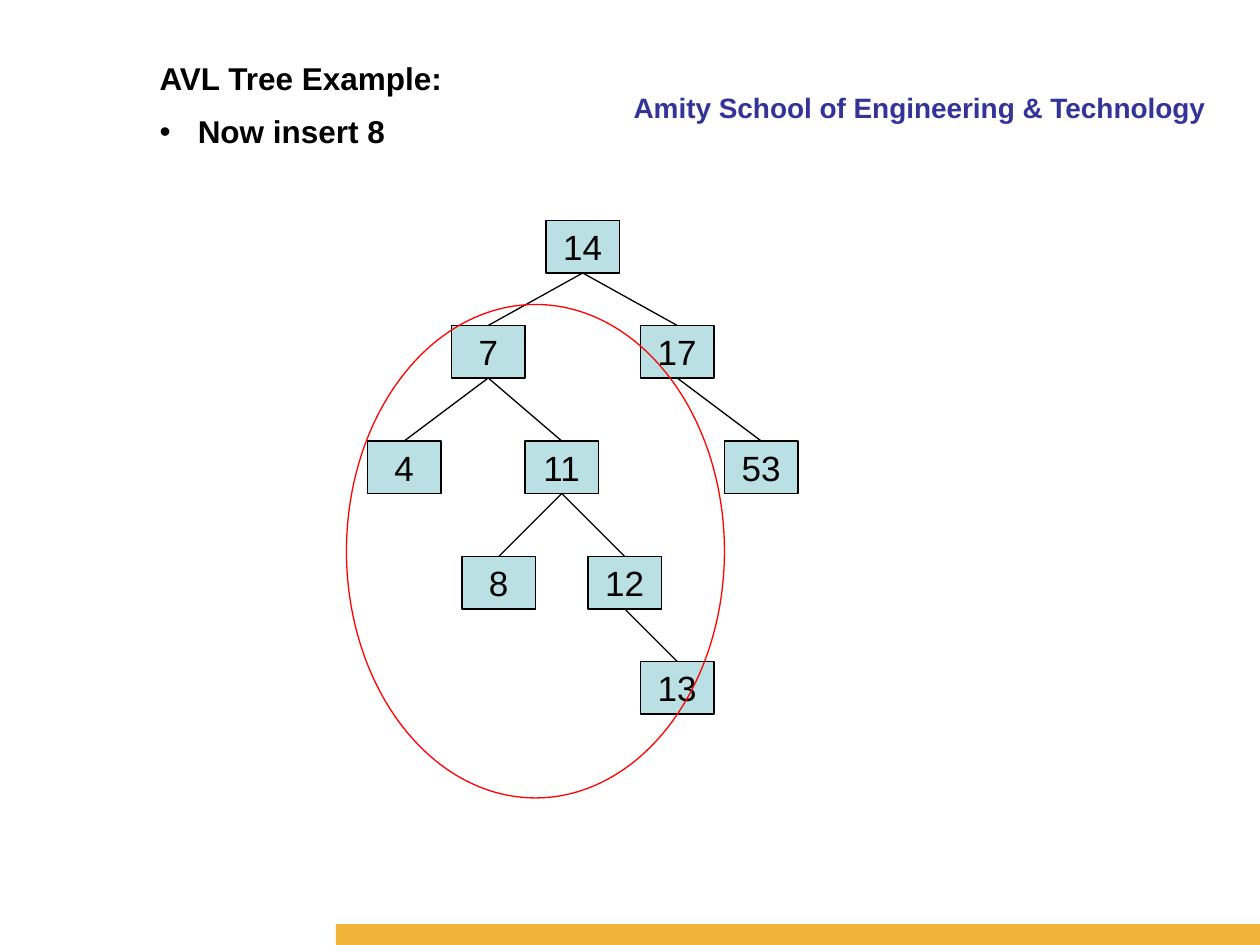
from dataclasses import dataclass

from lxml.etree import SubElement
from pptx import Presentation
from pptx.dml.color import RGBColor
from pptx.enum.shapes import MSO_CONNECTOR, MSO_SHAPE
from pptx.enum.text import MSO_ANCHOR, MSO_AUTO_SIZE, PP_ALIGN
from pptx.oxml.ns import qn
from pptx.shapes.autoshape import Shape
from pptx.slide import Slide
from pptx.text.text import TextFrame
from pptx.util import Cm, Pt

COLOURS = {
    "black": "000000",
    "header": "333399",
    "bar": "F1B43B",
    "node": "BBE0E3",
    "highlight": "FF0000",
}
FONT = "Arial"
GRID = 2.54 / 12  # every position is a multiple of a twelfth of an inch
NODE_WIDTH, NODE_HEIGHT = 7, 5
LEVEL_TOPS = (21, 31, 42, 53, 63)
LINE_WIDTH = Pt(0.75)
TOP_SITE, BOTTOM_SITE = 0, 2


@dataclass
class Node:
    key: int
    left: int
    level: int
    parent: int | None = None


NODES = [
    Node(14, 52, 0),
    Node(7, 43, 1, parent=14),
    Node(17, 61, 1, parent=14),
    Node(4, 35, 2, parent=7),
    Node(11, 50, 2, parent=7),
    Node(53, 69, 2, parent=17),
    Node(8, 44, 3, parent=11),
    Node(12, 56, 3, parent=11),
    Node(13, 61, 4, parent=12),
]


def units(count: float) -> Cm:
    """Turn grid units into a length."""
    return Cm(count * GRID)


def colour(name: str) -> RGBColor:
    return RGBColor.from_string(COLOURS[name])


def format_text(text_frame: TextFrame, size: int, font_colour: str,
                alignment: PP_ALIGN, bold: bool = False) -> None:
    for paragraph in text_frame.paragraphs:
        paragraph.alignment = alignment
        for run in paragraph.runs:
            run.font.name = FONT
            run.font.size = Pt(size)
            run.font.bold = bold
            run.font.color.rgb = colour(font_colour)


def add_figure(slide: Slide, preset: MSO_SHAPE, box: tuple[int, int, int, int],
               fill: str | None = None, line: str | None = None) -> Shape:
    """Add a preset shape; a missing fill or line is left out."""
    shape = slide.shapes.add_shape(preset, *map(units, box))
    shape.shadow.inherit = False
    if fill:
        shape.fill.solid()
        shape.fill.fore_color.rgb = colour(fill)
    else:
        shape.fill.background()
    if line:
        shape.line.color.rgb = colour(line)
        shape.line.width = LINE_WIDTH
    else:
        shape.line.fill.background()
    return shape


def add_node(slide: Slide, node: Node) -> Shape:
    box = (node.left, LEVEL_TOPS[node.level], NODE_WIDTH, NODE_HEIGHT)
    shape = add_figure(slide, MSO_SHAPE.RECTANGLE, box, "node", "black")
    text_frame = shape.text_frame
    text_frame.text = str(node.key)
    text_frame.word_wrap = False
    text_frame.vertical_anchor = MSO_ANCHOR.MIDDLE
    format_text(text_frame, 20, "black", PP_ALIGN.CENTER)
    return shape


def add_edge(slide: Slide, parent: Shape, child: Shape) -> None:
    connector = slide.shapes.add_connector(MSO_CONNECTOR.STRAIGHT, 0, 0, 0, 0)
    connector.begin_connect(parent, BOTTOM_SITE)
    connector.end_connect(child, TOP_SITE)
    connector.line.color.rgb = colour("black")
    connector.line.width = LINE_WIDTH
    SubElement(connector._element.spPr, qn("a:effectLst"))


def add_header(slide: Slide) -> None:
    text_box = slide.shapes.add_textbox(*map(units, (49, 8, 67, 4)))
    text_box.text_frame.word_wrap = True
    text_box.text_frame.text = "Amity School of Engineering & Technology"
    format_text(text_box.text_frame, 16, "header", PP_ALIGN.RIGHT, bold=True)


def set_title(slide: Slide) -> None:
    title = slide.shapes.title
    title.left, title.top, title.width, title.height = map(units, (14, 5, 94, 10.2))
    text_frame = title.text_frame
    text_frame.text = "AVL Tree Example:\nNow insert 8"
    text_frame.word_wrap = True
    text_frame.auto_size = MSO_AUTO_SIZE.NONE
    text_frame.vertical_anchor = MSO_ANCHOR.TOP

    step = text_frame.paragraphs[1]
    step.space_before = Pt(9)
    properties = step._p.get_or_add_pPr()
    properties.set("marL", str(Cm(0.77)))
    properties.set("indent", str(-Cm(0.77)))
    SubElement(properties, qn("a:buFont"), typeface=FONT)
    SubElement(properties, qn("a:buChar"), char="•")
    format_text(text_frame, 18, "black", PP_ALIGN.LEFT, bold=True)


def main() -> None:
    presentation = Presentation()
    presentation.slide_width, presentation.slide_height = Cm(25.4), Cm(19.05)
    slide = presentation.slides.add_slide(presentation.slide_layouts[5])

    add_header(slide)
    add_figure(slide, MSO_SHAPE.RECTANGLE, (32, 88, 88, 2), fill="bar")
    set_title(slide)

    shapes: dict[int, Shape] = {}
    for node in NODES:
        shapes[node.key] = add_node(slide, node)
        if node.parent is not None:
            add_edge(slide, shapes[node.parent], shapes[node.key])
    add_figure(slide, MSO_SHAPE.OVAL, (33, 29, 36, 47), line="highlight")

    presentation.save("out.pptx")


if __name__ == "__main__":
    main()
